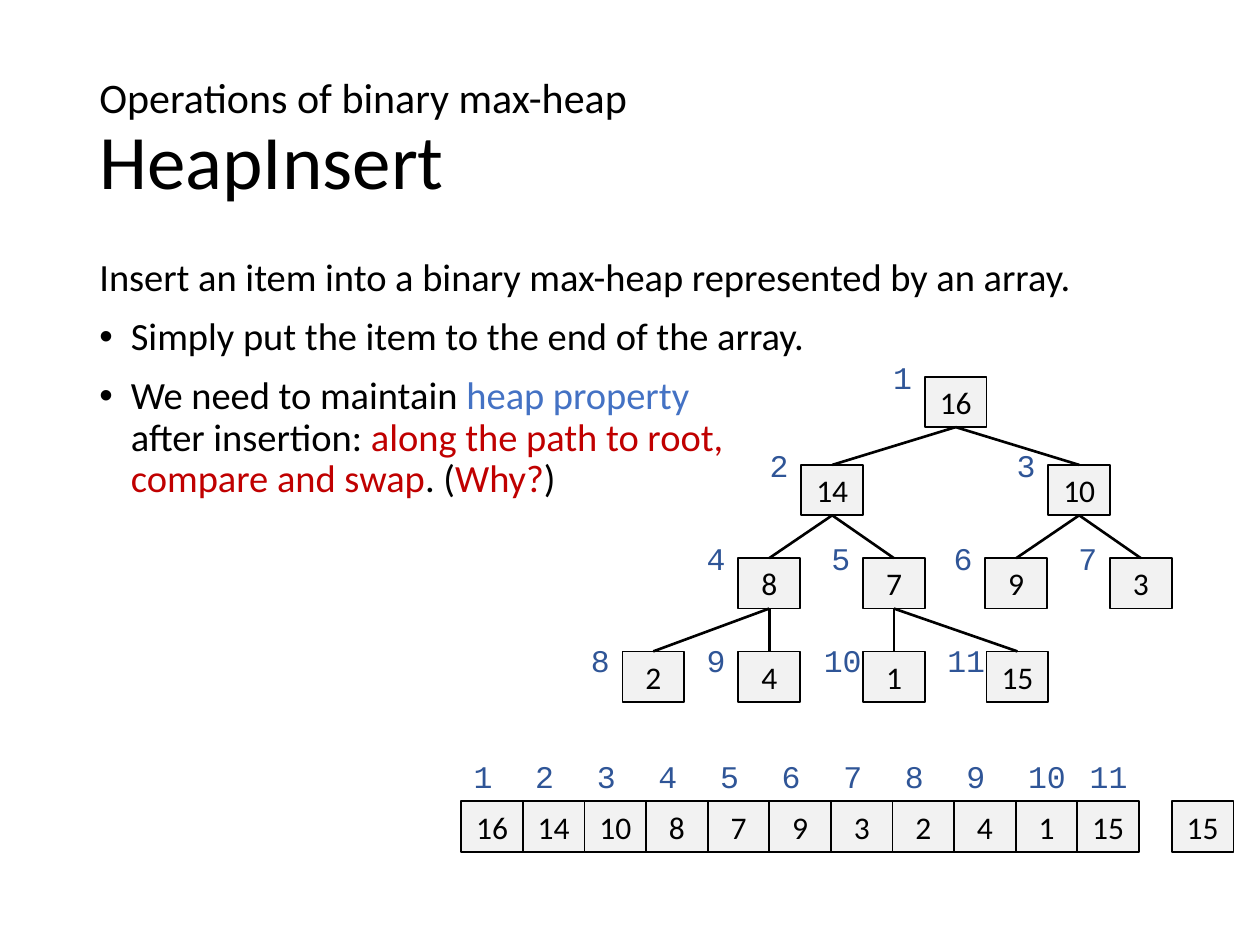
from lxml.etree import SubElement
from pptx import Presentation
from pptx.dml.color import RGBColor
from pptx.enum.shapes import MSO_CONNECTOR, MSO_SHAPE
from pptx.enum.text import MSO_ANCHOR, PP_ALIGN
from pptx.oxml.ns import qn
from pptx.util import Inches, Pt

COLORS = {
    "text": "000000",
    "cell": "F2F2F2",
    "index": "2F5597",
    "term": "4472C4",
    "emphasis": "C00000",
}
CELL_WIDTH, CELL_HEIGHT = 0.49, 0.4
HEAP = [16, 14, 10, 8, 7, 9, 3, 2, 4, 1, 15]
NODE_LEFTS = [7.34, 6.36, 8.32, 5.86, 6.85, 7.82, 8.81, 4.94, 5.86, 6.85, 7.83]
LEVEL_TOPS = [2.99, 3.69, 4.43, 5.17]
INDEX_RISES = [0.2, 0.2, 0.2, 0.13]
ARRAY_LEFT, ARRAY_TOP = 3.66, 6.36
ARRAY_PITCH = 0.489
NEW_ITEM_LEFT = 9.3

TITLE = [("Operations of binary max-heap\n", 24), ("HeapInsert", 44)]
BODY = [
    (False, [("Insert an item into a binary max-heap represented by an array.", "text")]),
    (True, [("Simply put the item to the end of the array.", "text")]),
    (True, [
        ("We need to maintain ", "text"),
        ("heap property \n", "term"),
        ("after insertion: ", "text"),
        ("along the path to root,\ncompare and swap", "emphasis"),
        (". (", "text"),
        ("Why?", "emphasis"),
        (")", "text"),
    ]),
]


def color(name):
    return RGBColor.from_string(COLORS[name])


def style(font, size, name="text", face="Calibri"):
    font.name = face
    font.size = Pt(size)
    font.color.rgb = color(name)


def add_run(paragraph, text, size, name="text"):
    for number, line in enumerate(text.split("\n")):
        if number:
            paragraph.add_line_break()
        if line:
            run = paragraph.add_run()
            run.text = line
            style(run.font, size, name)


def add_text_frame(slide, left, top, width, height, wrap=True):
    frame = slide.shapes.add_textbox(
        Inches(left), Inches(top), Inches(width), Inches(height)).text_frame
    frame.word_wrap = wrap
    return frame


def add_bullet(paragraph):
    properties = paragraph._p.get_or_add_pPr()
    properties.set("marL", str(Inches(0.25)))
    properties.set("indent", str(-Inches(0.25)))
    SubElement(properties, qn("a:buFont"), typeface="Arial")
    SubElement(properties, qn("a:buChar"), char="•")


def add_title(slide):
    frame = add_text_frame(slide, 0.69, 0.4, 8.62, 1.45)
    frame.vertical_anchor = MSO_ANCHOR.MIDDLE
    heading = frame.paragraphs[0]
    heading.line_spacing = 0.9
    for text, size in TITLE:
        add_run(heading, text, size)


def add_body(slide):
    frame = add_text_frame(slide, 0.69, 2, 8.62, 4.76)
    for number, (bulleted, pieces) in enumerate(BODY):
        paragraph = frame.add_paragraph() if number else frame.paragraphs[0]
        paragraph.line_spacing = 0.9
        paragraph.space_before = Pt(10)
        if bulleted:
            add_bullet(paragraph)
        for text, name in pieces:
            add_run(paragraph, text, 22, name)


def add_cell(slide, left, top, value):
    cell = slide.shapes.add_shape(
        MSO_SHAPE.RECTANGLE, Inches(left), Inches(top),
        Inches(CELL_WIDTH), Inches(CELL_HEIGHT))
    cell.shadow.inherit = False
    cell.fill.solid()
    cell.fill.fore_color.rgb = color("cell")
    cell.line.color.rgb = color("text")
    cell.line.width = Pt(1)
    cell.text_frame.vertical_anchor = MSO_ANCHOR.MIDDLE
    number = cell.text_frame.paragraphs[0]
    number.text = str(value)
    number.alignment = PP_ALIGN.CENTER
    style(number.font, 18)


def add_index(slide, left, top, index):
    width = 0.35 if index < 10 else 0.5
    frame = add_text_frame(slide, left, top, width, 0.4, wrap=False)
    label = frame.paragraphs[0]
    label.text = str(index)
    style(label.font, 18, "index", "Courier New")


def add_edge(slide, start, end):
    edge = slide.shapes.add_connector(
        MSO_CONNECTOR.STRAIGHT, *(Inches(length) for length in start + end))
    edge.line.color.rgb = color("text")
    edge.line.width = Pt(1.5)
    SubElement(edge._element.spPr, qn("a:effectLst"))


def node_corner(index):
    return NODE_LEFTS[index - 1], LEVEL_TOPS[index.bit_length() - 1]


def add_tree(slide):
    for index, value in enumerate(HEAP, 1):
        left, top = node_corner(index)
        add_cell(slide, left, top, value)
        offset = 0.35 if index < 10 else 0.41
        rise = INDEX_RISES[index.bit_length() - 1]
        add_index(slide, left - offset, top - rise, index)
    for index in range(2, len(HEAP) + 1):
        left, top = node_corner(index)
        parent_left, parent_top = node_corner(index // 2)
        add_edge(slide,
                 (parent_left + CELL_WIDTH / 2, parent_top + CELL_HEIGHT),
                 (left + CELL_WIDTH / 2, top))


def add_array(slide):
    for index, value in enumerate(HEAP, 1):
        left = ARRAY_LEFT + (index - 1) * ARRAY_PITCH
        add_cell(slide, left, ARRAY_TOP, value)
        add_index(slide, left, ARRAY_TOP - 0.4, index)
    add_cell(slide, NEW_ITEM_LEFT, ARRAY_TOP, HEAP[-1])


def main():
    deck = Presentation()
    deck.slide_width, deck.slide_height = Inches(10), Inches(7.5)
    slide = deck.slides.add_slide(deck.slide_layouts[6])
    add_title(slide)
    add_body(slide)
    add_array(slide)
    add_tree(slide)
    deck.save("out.pptx")


main()
